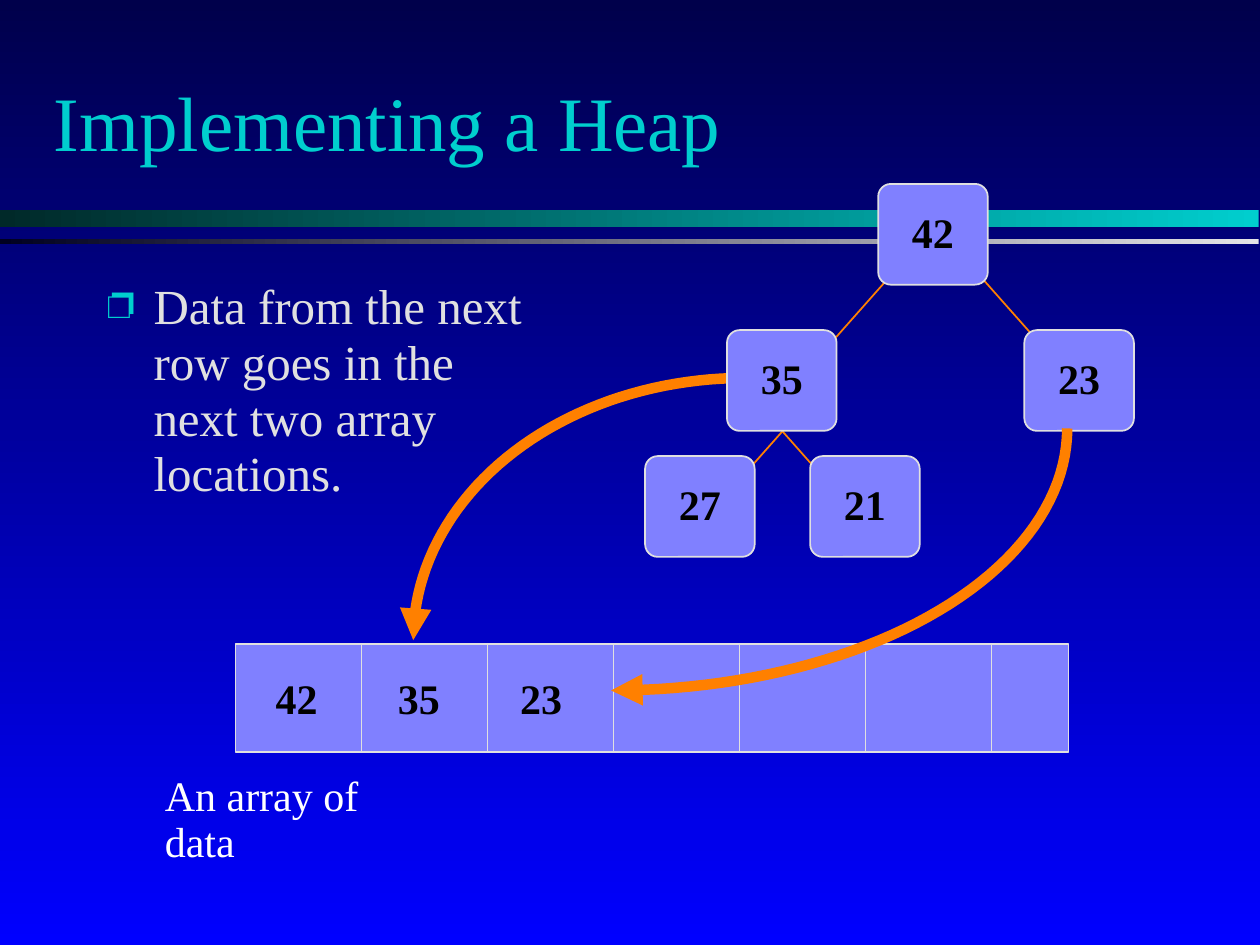
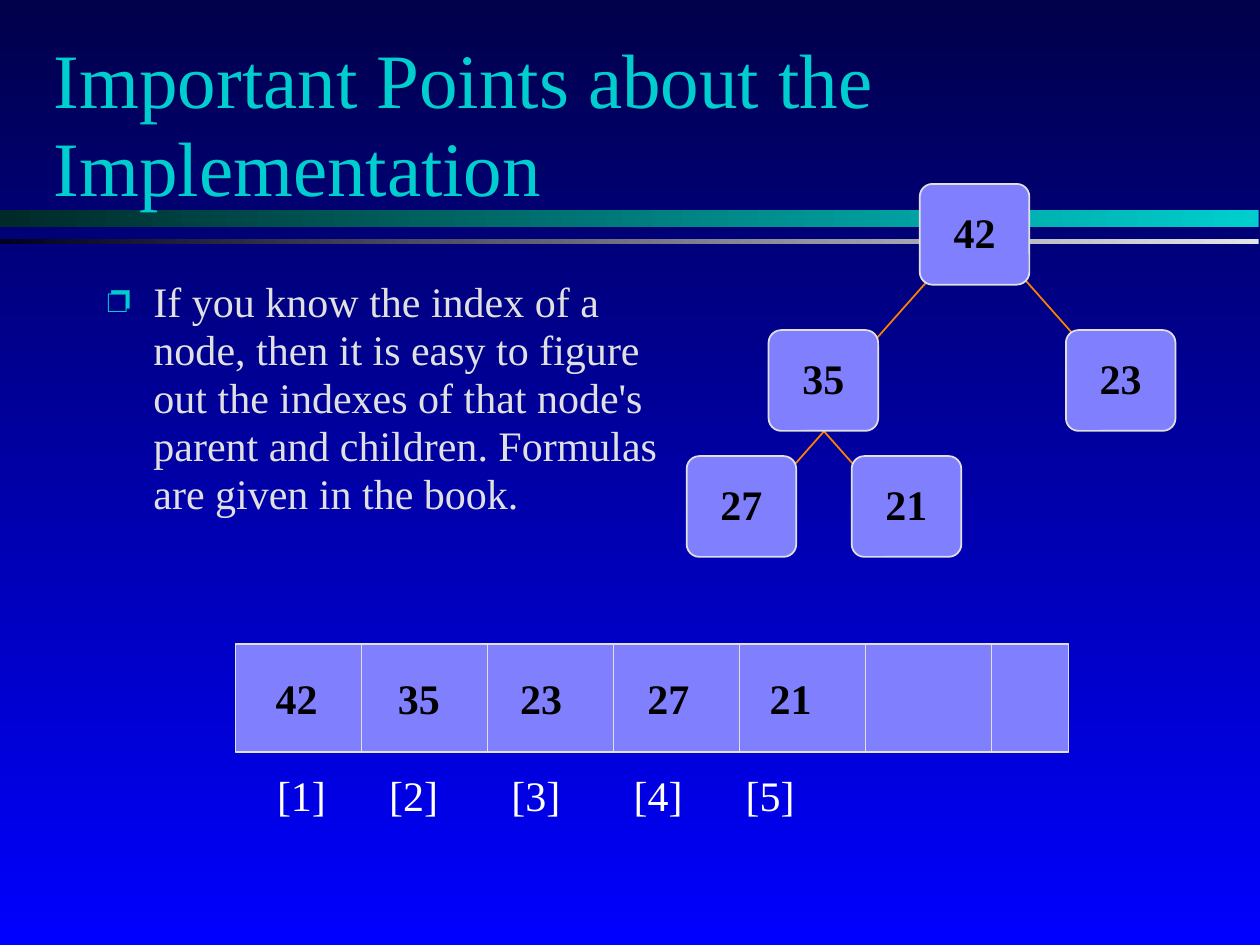
import math

import pptx
import pptx.dml.color
import pptx.enum.shapes
import pptx.enum.text
import pptx.oxml
import pptx.oxml.ns
import pptx.util

Inches, Pt = pptx.util.Inches, pptx.util.Pt
RGB = pptx.dml.color.RGBColor
SHAPE = pptx.enum.shapes.MSO_SHAPE
ALIGN = pptx.enum.text.PP_ALIGN
ANCHOR = pptx.enum.text.MSO_ANCHOR

FONT = "Times New Roman"
NAVY, BLUE = RGB(0x00, 0x00, 0x4B), RGB(0x00, 0x00, 0xFF)
TEAL, DEEP = RGB(0x00, 0xCE, 0xCE), RGB(0x00, 0x29, 0x29)
SILVER, INK = RGB(0xE4, 0xE4, 0xE7), RGB(0x00, 0x00, 0x20)
GRAY, LILAC = RGB(0xE0, 0xE0, 0xE0), RGB(0x80, 0x80, 0xFF)
ORANGE = RGB(0xFF, 0x80, 0x00)
BLACK, WHITE = RGB(0, 0, 0), RGB(255, 255, 255)

# Content
BANDS = [(1.67, 0.13, TEAL, DEEP), (1.9, 0.04, SILVER, INK)]  # top, height, right, left
SLIDES = [
    dict(title="Implementing a Heap", head=(0.33, 0.37, 8.5, 1.25),
         body="Data from the next row goes in the next two array locations.",
         wide=3.65, size=28, gap=7, root=6.97, cells=["42", "35", "23"],
         label="An array of data", spot=(1.21, 6.09, 2.37, 0.47), tabs=[],
         under=[(5.91, 5.08, -2.63, -2.08)], over=[(4.85, 3.4, 3.62, 2.08)]),
    dict(title="Important Points about the Implementation",
         head=(0.33, 0.26, 8.5, 1.48),
         body="If you know the index of a node, then it is easy to figure out "
              "the indexes of that node's parent and children. Formulas are "
              "given in the book.",
         wide=4.87, size=24, gap=6, root=7.3,
         cells=["42", "35", "23", "27", "21"],
         label="[1]\t[2]\t[3]\t[4]\t[5]", spot=(2.1, 6.09, 6.41, 0.47),
         tabs=[0.89, 1.86, 2.83, 3.72], under=[], over=[]),
]
# Heap nodes: value, left from the root, top, edge end inside the node, edge run
NODES = [
    ("21", -0.54, 3.62, (0.22, 0.3), 0.62),
    ("27", -1.85, 3.62, (0.65, 0.3), -0.62),
    ("23", 1.16, 2.62, (0.25, 0.25), 0.62),
    ("35", -1.2, 2.62, (0.65, 0.3), -0.62),
    ("42", 0, 1.46, None, 0),
]
NODE_W, NODE_H, RISE = 0.87, 0.8, 0.7
ROW = (1.87, 5.11, 6.61, 0.86)
CELL_X = [2.09, 3.06, 4.03, 5.04, 6.01]


def add_xml(owner, tag, inner="", **attrs):
    """Append one drawing element to another."""
    pairs = " ".join(f'{key}="{val}"' for key, val in attrs.items())
    space = pptx.oxml.ns.nsdecls("a")
    owner.append(pptx.oxml.parse_xml(f"<a:{tag} {space} {pairs}>{inner}</a:{tag}>"))


def blend(fill, first, last, angle):
    fill.gradient()
    fill.gradient_angle = angle
    for stop, color in zip(fill.gradient_stops, (first, last)):
        stop.color.rgb = color


def write(shape, text, size=24, color=WHITE, bold=False, align=ALIGN.LEFT,
          anchor=ANCHOR.TOP, wrap=True, lines=0.95, gap=0, bullet=None, tabs=()):
    frame = shape.text_frame
    frame.word_wrap, frame.vertical_anchor = wrap, anchor
    para = frame.paragraphs[0]
    para.alignment, para.line_spacing = align, lines
    para.space_before = Pt(gap)
    run = para.add_run()
    run.text = text
    font = run.font
    font.name, font.size, font.bold = FONT, Pt(size), bold
    font.color.rgb = color
    props = para._p.get_or_add_pPr()
    if bullet:
        props.set("marL", str(Inches(0.37)))
        props.set("indent", str(Inches(-0.37)))
        add_xml(props, "buClr", f'<a:srgbClr val="{TEAL}"/>')
        add_xml(props, "buSzPct", val=75000)
        add_xml(props, "buFont", typeface=FONT)
        add_xml(props, "buChar", char=bullet)
    if tabs:
        stops = "".join(f'<a:tab pos="{Inches(x)}" algn="l"/>' for x in tabs)
        add_xml(props, "tabLst", stops)


def add_text(slide, box, text, **style):
    write(slide.shapes.add_textbox(*map(Inches, box)), text, **style)


def add_box(slide, kind, box):
    shape = slide.shapes.add_shape(kind, *map(Inches, box))
    shape.shadow.inherit = False
    shape.fill.solid()
    shape.fill.fore_color.rgb = LILAC
    shape.line.color.rgb, shape.line.width = GRAY, Pt(1)
    return shape


def add_line(slide, start, end, color):
    kind = pptx.enum.shapes.MSO_CONNECTOR.STRAIGHT
    line = slide.shapes.add_connector(kind, *map(Inches, (*start, *end)))
    line.line.color.rgb, line.line.width = color, Pt(1)
    add_xml(line._element.spPr, "effectLst")


def add_arc(slide, mid_x, mid_y, rad_x, rad_y):
    """Draw a quarter ellipse that ends in an arrowhead."""
    turns = [math.radians(deg) for deg in range(0, 91, 2)]
    if rad_x < 0:
        turns.reverse()
    spots = [(Inches(mid_x + rad_x * math.cos(turn)),
              Inches(mid_y + rad_y * math.sin(turn))) for turn in turns]
    pen = slide.shapes.build_freeform(*spots[0], scale=1.0)
    pen.add_line_segments(spots[1:], close=False)
    arc = pen.convert_to_shape()
    arc.shadow.inherit = False
    arc.fill.background()
    arc.line.color.rgb, arc.line.width = ORANGE, Pt(6)
    add_xml(arc.line._get_or_add_ln(), "tailEnd", type="triangle")


def add_frame(slide):
    """Background and the two bands below the title."""
    blend(slide.background.fill, NAVY, BLUE, 270)
    for top, high, right, left in BANDS:
        band = add_box(slide, SHAPE.RECTANGLE, (0, top, 9.99, high))
        blend(band.fill, right, left, 180)
        band.line.fill.background()


def add_row(slide, cells):
    left, top, wide, high = ROW
    add_box(slide, SHAPE.RECTANGLE, ROW)
    for step in range(1, 7):
        x = left + step
        add_line(slide, (x, top), (x, top + high), GRAY)
    for x, cell in zip(CELL_X, cells):
        add_text(slide, (x, 5.32, 0.53, 0.48), cell, color=BLACK, bold=True, wrap=False)


def add_heap(slide, root):
    for value, dx, top, tip, run in NODES:
        if tip:
            x, y = root + dx + tip[0], top + tip[1]
            add_line(slide, (x - run, y - RISE), (x, y), ORANGE)
    for value, dx, top, tip, run in NODES:
        node = add_box(slide, SHAPE.ROUNDED_RECTANGLE, (root + dx, top, NODE_W, NODE_H))
        node.adjustments[0] = 0.126
        write(node, value, color=BLACK, bold=True, align=ALIGN.CENTER,
              anchor=ANCHOR.MIDDLE)


def main():
    deck = pptx.Presentation()
    deck.slide_width, deck.slide_height = Inches(10), Inches(7.5)
    for page in SLIDES:
        slide = deck.slides.add_slide(deck.slide_layouts[6])
        add_frame(slide)
        for arc in page["under"]:
            add_arc(slide, *arc)
        add_text(slide, page["head"], page["title"], size=44, color=TEAL,
                 anchor=ANCHOR.MIDDLE)
        add_text(slide, (0.75, 2.17, page["wide"], 4.5), page["body"],
                 size=page["size"], color=GRAY, gap=page["gap"], bullet="❐")
        add_row(slide, page["cells"])
        add_text(slide, page["spot"], page["label"], lines=0.93,
                 wrap=bool(page["tabs"]), tabs=page["tabs"])
        add_heap(slide, page["root"])
        for arc in page["over"]:
            add_arc(slide, *arc)
    deck.save("out.pptx")


if __name__ == "__main__":
    main()
